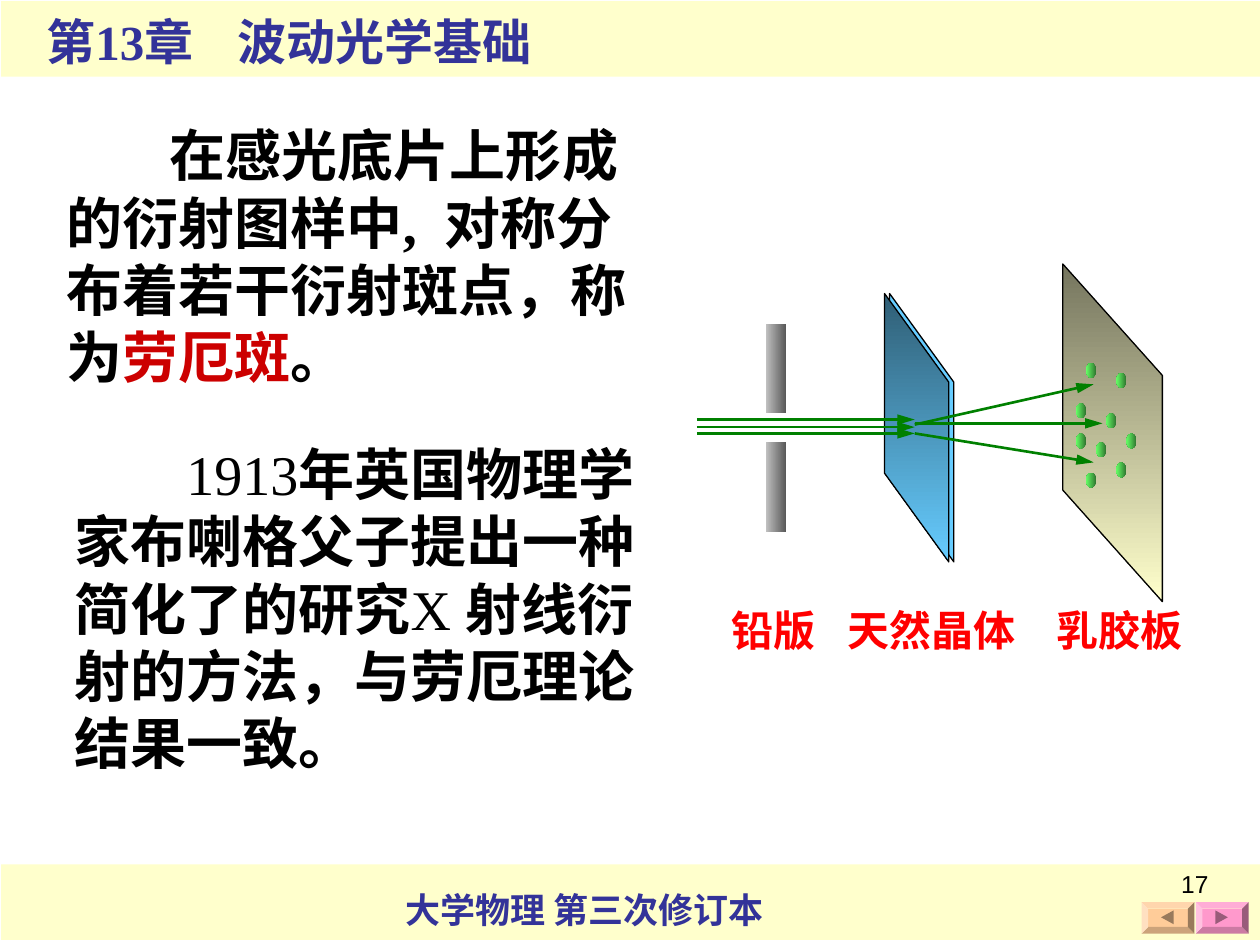
from pptx import Presentation
from pptx.dml.color import RGBColor
from pptx.enum.shapes import MSO_CONNECTOR, MSO_SHAPE
from pptx.enum.text import PP_ALIGN
from pptx.oxml.ns import qn
from pptx.util import Inches, Pt
from lxml import etree

RECT = MSO_SHAPE.RECTANGLE
SLANT = MSO_SHAPE.PARALLELOGRAM
OVAL = MSO_SHAPE.OVAL
BEVEL = MSO_SHAPE.BEVEL
WEDGE = MSO_SHAPE.ISOSCELES_TRIANGLE
STRAIGHT = MSO_CONNECTOR.STRAIGHT
LEFT, RIGHT = PP_ALIGN.LEFT, PP_ALIGN.RIGHT

CREAM = RGBColor(0xFF, 0xFF, 0xCC)
OLIVE = RGBColor(0x75, 0x75, 0x5E)
NAVY = RGBColor(0x33, 0x33, 0x99)
BLACK = RGBColor(0, 0, 0)
RED = RGBColor(0xFF, 0, 0)
CRIMSON = RGBColor(0xCC, 0, 0)
SKY = RGBColor(0x66, 0xCC, 0xFF)
TEAL = RGBColor(0x2F, 0x5E, 0x75)
STEEL = RGBColor(0x58, 0x58, 0x58)
SILVER = RGBColor(0xC0, 0xC0, 0xC0)
GREEN = RGBColor(0, 0x80, 0)
MOSS = RGBColor(0x2F, 0x75, 0x2F)
LIME = RGBColor(0x66, 0xFF, 0x66)
PINK = RGBColor(0xFF, 0x99, 0xCC)
PLUM = RGBColor(0x99, 0x5C, 0x7A)
PEACH = RGBColor(0xFF, 0xCC, 0x99)
BROWN = RGBColor(0x99, 0x7A, 0x5C)

SPOTS = [(8.62, 3.75), (8.7, 3.51), (8.78, 3.28), (8.54, 3.44), (8.62, 2.88),
         (8.86, 2.96), (8.94, 3.44), (8.86, 3.67), (8.54, 3.2)]
RAYS = [(5.53, y, 7.26, y) for y in (3.39, 3.44, 3.33)]
RAYS += [(7.26, 3.37, 8.68, 3.05), (7.26, 3.44, 8.68, 3.67),
         (7.26, 3.36, 8.75, 3.36)]


def add_text(slide, box, runs, size=24, color=BLACK, bold=True, wrap=True,
             font="Times New Roman", align=LEFT, indent=0, tab=None):
    frame = slide.shapes.add_textbox(*map(Inches, box)).text_frame
    frame.word_wrap = wrap
    para = frame.paragraphs[0]
    para.alignment = align
    props = para._p.get_or_add_pPr()
    if indent:
        props.set("marL", "0")
        props.set("indent", str(Inches(indent)))
    if tab:
        stops = etree.SubElement(props, qn("a:tabLst"))
        etree.SubElement(stops, qn("a:tab"), pos=str(Inches(tab)), algn="l")
    if isinstance(runs, str):
        runs = [(runs, {})]
    for words, style in runs:
        run = para.add_run()
        run.text = words
        run.font.name = font
        run.font.size = Pt(size)
        run.font.bold = style.get("bold", bold)
        run.font.color.rgb = style.get("color", color)


def add_shape(slide, kind, box, fill, angle=0, turn=0, line=None, adjust=None):
    shape = slide.shapes.add_shape(kind, *map(Inches, box))
    shape.shadow.inherit = False
    shape.rotation = turn
    if adjust is not None:
        shape.adjustments[0] = adjust
    if isinstance(fill, RGBColor):
        shape.fill.solid()
        shape.fill.fore_color.rgb = fill
    else:
        shape.fill.gradient()
        shape.fill.gradient_angle = angle
        for stop, color, place in zip(shape.fill.gradient_stops, fill, (0, 1)):
            stop.color.rgb = color
            stop.position = place
        shape._element.spPr.find(qn("a:gradFill")).set("rotWithShape", "0")
    if line is None:
        shape.line.fill.background()
    else:
        shape.line.color.rgb = line
        shape.line.width = Pt(0.75)


def add_ray(slide, ends):
    ray = slide.shapes.add_connector(STRAIGHT, *map(Inches, ends))
    ray.line.color.rgb = GREEN
    ray.line.width = Pt(1.5)
    props = ray._element.spPr
    etree.SubElement(props.find(qn("a:ln")), qn("a:tailEnd"),
                     type="triangle", w="med", len="lg")
    etree.SubElement(props, qn("a:effectLst"))


def add_button(slide, left, fill, dark, turn):
    add_shape(slide, BEVEL, (left, 7.16, 0.42, 0.25), fill, adjust=0.21)
    add_shape(slide, WEDGE, (left + 0.15, 7.23, 0.11, 0.1), dark, turn=turn)


def add_frame(slide):
    for top in (6.86, 0.01):
        add_shape(slide, RECT, (0.01, top, 9.99, 0.6), CREAM)
    add_text(slide, (3.12, 7, 3.12, 0.44), "大学物理 第三次修订本",
             size=20, color=NAVY)
    add_text(slide, (0.27, 0.04, 4.46, 0.57), "第13章\t波动光学基础",
             size=28, color=NAVY, tab=1.52)
    add_button(slide, 9.49, PINK, PLUM, 90)
    add_button(slide, 9.06, PEACH, BROWN, 270)


def add_body(slide):
    add_text(slide, (0.43, 0.91, 4.73, 2.24), [
        ("在感光底片上形成的衍射图样中,\t对称分布着若干衍射斑点，称为", {}),
        ("劳厄斑", {"color": CRIMSON}),
        ("。", {}),
    ], size=32, indent=0.82, tab=3.33)
    add_text(slide, (0.49, 3.44, 4.81, 2.77), [
        ("1913", {"bold": False}),
        ("年英国物理学家布喇格父子提出一种简化了的研究", {}),
        ("X ", {"bold": False}),
        ("射线衍射的方法，与劳厄理论结果一致。", {}),
    ], size=32, indent=0.89)


def add_setup(slide):
    for left, width, name in ((5.71, 1.04, "铅版"), (6.63, 1.73, "天然晶体"),
                              (8.29, 1.2, "乳胶板")):
        add_text(slide, (left, 4.75, width, 0.5), name, color=RED,
                 wrap=name != "乳胶板")
    for top in (2.57, 3.51):
        add_shape(slide, RECT, (6.08, top, 0.16, 0.71), (STEEL, SILVER), angle=180)
    for box, fill, adjust in (
            ((6.25, 3.14, 2.13, 0.51), SKY, 1.38),
            ((6.21, 3.14, 2.13, 0.51), (TEAL, SKY), 1.38),
            ((7.49, 3.04, 2.68, 0.79), (OLIVE, CREAM), 1.12)):
        add_shape(slide, SLANT, box, fill, angle=270, turn=90, line=BLACK,
                  adjust=adjust)
    for ends in RAYS:
        add_ray(slide, ends)
    for left, top in SPOTS:
        add_shape(slide, OVAL, (left, top, 0.08, 0.12), (MOSS, LIME), angle=180)


def main():
    deck = Presentation()
    deck.slide_width, deck.slide_height = Inches(10), Inches(7.5)
    slide = deck.slides.add_slide(deck.slide_layouts[6])
    add_frame(slide)
    add_body(slide)
    add_setup(slide)
    add_text(slide, (7.36, 6.85, 2.33, 0.52), "17", size=14, bold=False,
             font="Arial", align=RIGHT)
    deck.save("out.pptx")


if __name__ == "__main__":
    main()
